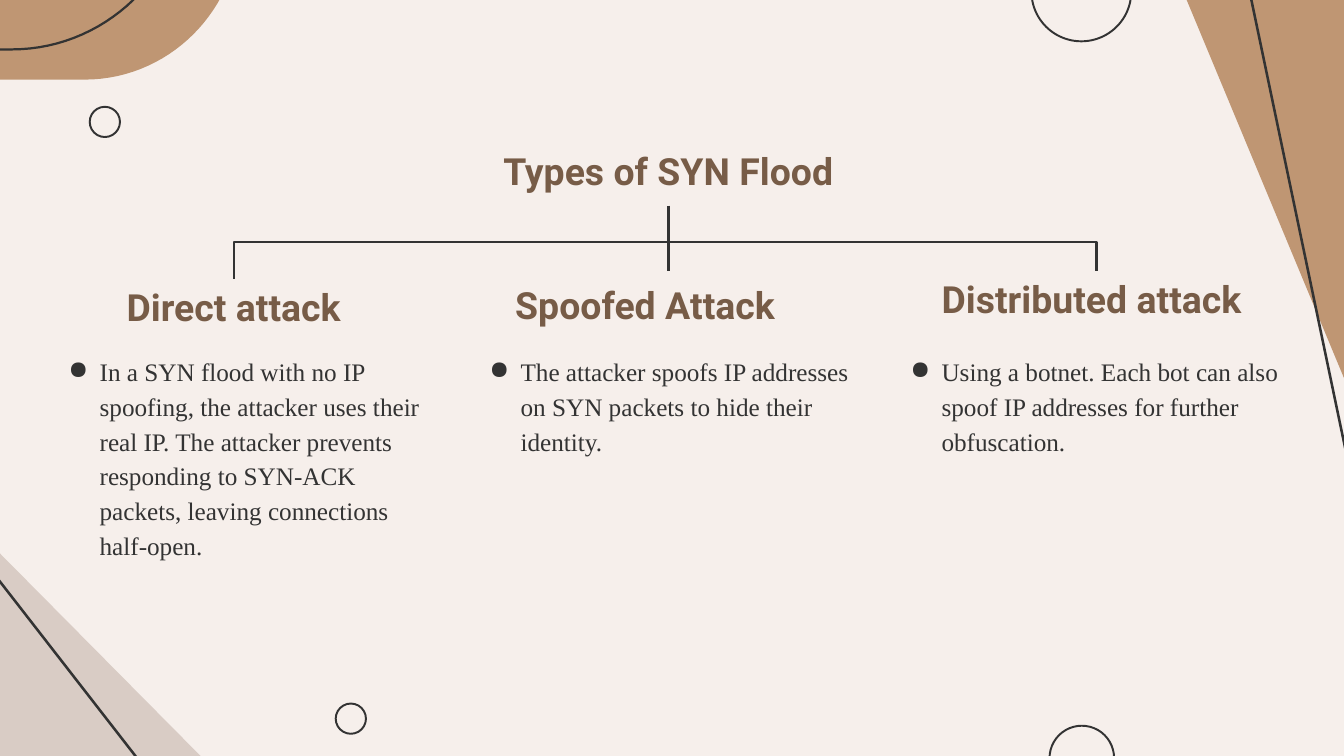
from dataclasses import dataclass

from lxml import etree
from pptx import Presentation
from pptx.dml.color import RGBColor
from pptx.enum.shapes import MSO_CONNECTOR, MSO_SHAPE
from pptx.enum.text import MSO_ANCHOR, PP_ALIGN
from pptx.oxml.ns import qn
from pptx.util import Inches, Pt

OVAL = MSO_SHAPE.OVAL
LINE, ELBOW = MSO_CONNECTOR.STRAIGHT, MSO_CONNECTOR.ELBOW
TOP, BOTTOM = 0, 2
INK, TAN, SAND, BROWN = "333333", "BF9673", "D9CCC5", "775C47"
HEAD = {"name": "Roboto", "size": Pt(26.7), "bold": True}
BODY = {"name": "Times New Roman", "size": Pt(18)}
STEPS = 24


@dataclass
class Ring:
    x: float
    y: float
    size: float


@dataclass
class Stroke:
    start: tuple
    end: tuple


@dataclass
class Label:
    text: str
    x: float
    y: float
    width: float


@dataclass
class Note:
    text: str
    height: float


RINGS = [Ring(0.89, 1.06, 0.3), Ring(10.23, -0.58, 0.99),
         Ring(3.33, 6.98, 0.3), Ring(10.41, 7.2, 0.64)]
STROKES = [Stroke((12.2, -1.01), (13.65, 5.92)), Stroke((-0.42, 5.23), (2.99, 9.62))]
TITLE = Label("Types of SYN Flood", 4.09, 1.42, 5.08)
LABELS = [Label("Direct attack", 0.45, 2.77, 3.74),
          Label("Spoofed Attack", 4.53, 2.75, 3.74),
          Label("Distributed attack ", 8.62, 2.69, 4.51)]
NOTES = [
    Note("In a SYN flood with no IP spoofing, the attacker uses their real IP. "
         "The attacker prevents responding to SYN-ACK packets, leaving "
         "connections half-open.", 2.44),
    Note("The attacker spoofs IP addresses on SYN packets to hide their identity.", 1.59),
    Note("Using a botnet. Each bot can also spoof IP addresses for further "
         "obfuscation.", 1.93),
]
NOTE_X, NOTE_Y, NOTE_W, NOTE_STEP = 0.58, 3.39, 3.89, 4.175


def color(code: str) -> RGBColor:
    return RGBColor.from_string(code)


def curve(*ctrl: tuple) -> list:
    """Points along a cubic Bezier curve with four control points."""
    spots = []
    for i in range(STEPS + 1):
        t = i / STEPS
        parts = ((1 - t) ** 3, 3 * t * (1 - t) ** 2, 3 * t * t * (1 - t), t ** 3)
        spots.append(tuple(sum(w * p[k] for w, p in zip(parts, ctrl)) for k in (0, 1)))
    return spots


def outline(slide, spots: list, closed: bool):
    pen = slide.shapes.build_freeform(*map(Inches, spots[0]))
    pen.add_line_segments([(Inches(x), Inches(y)) for x, y in spots[1:]], close=closed)
    shape = pen.convert_to_shape()
    shape.shadow.inherit = False
    return shape


def add_patch(slide, spots: list, fill: str) -> None:
    shape = outline(slide, spots, True)
    shape.fill.solid()
    shape.fill.fore_color.rgb = color(fill)
    shape.line.fill.background()


def ink(shape, width: float) -> None:
    shape.line.color.rgb = color(INK)
    shape.line.width = Pt(width)


def add_ring(slide, ring: Ring) -> None:
    shape = slide.shapes.add_shape(
        OVAL, *map(Inches, (ring.x, ring.y, ring.size, ring.size)))
    shape.shadow.inherit = False
    shape.fill.background()
    ink(shape, 1.4)


def add_link(slide, kind, start: tuple, end: tuple, width: float = 1.5):
    link = slide.shapes.add_connector(kind, *map(Inches, start + end))
    etree.SubElement(link._element.spPr, qn("a:effectLst"))
    ink(link, width)
    return link


def add_text(slide, text: str, frame: tuple, inset: float, style: dict, code: str):
    box = slide.shapes.add_textbox(*map(Inches, frame))
    body = box.text_frame
    body.word_wrap = True
    for side in ("left", "top", "right", "bottom"):
        setattr(body, f"margin_{side}", Inches(inset))
    para = body.paragraphs[0]
    para.line_spacing = 1.15
    run = para.add_run()
    run.text = text
    for key, value in style.items():
        setattr(run.font, key, value)
    run.font.color.rgb = color(code)
    return box


def add_label(slide, label: Label):
    box = add_text(slide, label.text, (label.x, label.y, label.width, 0.62),
                   0.13, HEAD, BROWN)
    box.text_frame.vertical_anchor = MSO_ANCHOR.BOTTOM
    box.text_frame.paragraphs[0].alignment = PP_ALIGN.CENTER
    return box


def add_note(slide, note: Note, x: float) -> None:
    box = add_text(slide, note.text, (x, NOTE_Y, NOTE_W, note.height), 0.1, BODY, INK)
    props = box.text_frame.paragraphs[0]._p.get_or_add_pPr()
    props.set("marL", str(Inches(0.31)))
    props.set("indent", str(Inches(-0.35)))
    tint = etree.SubElement(props, qn("a:buClr"))
    etree.SubElement(tint, qn("a:srgbClr"), val=INK)
    etree.SubElement(props, qn("a:buChar"), char="●")


def add_decor(slide) -> None:
    add_patch(slide, [(13.33, 0), (11.77, 0), (13.33, 3.75)], TAN)
    add_patch(slide, [(-0.04, 7.5), (1.99, 7.5), (-0.04, 5.45)], SAND)
    left = curve((-2.22, -0.25), (-1.84, 0.35), (-1.12, 0.79), (-0.44, 0.79))
    right = curve((0.84, 0.79), (1.51, 0.79), (2.08, 0.35), (2.29, -0.25))
    add_patch(slide, left + right, TAN)
    for stroke in STROKES:
        add_link(slide, LINE, stroke.start, stroke.end, 1.8)
    left = curve((-3.35, -0.68), (-2.93, -0.02), (-2.1, 0.49), (-1.33, 0.49))
    right = curve((0.12, 0.49), (0.85, 0.49), (1.51, 0.02), (1.76, -0.68))
    arc = outline(slide, left + right, False)
    arc.fill.background()
    ink(arc, 1.6)
    for ring in RINGS:
        add_ring(slide, ring)


def add_tree(slide) -> None:
    title = add_label(slide, TITLE)
    direct, _, spread = [add_label(slide, label) for label in LABELS]

    drop = add_link(slide, ELBOW, (6.63, 2.04), (2.32, 2.77))
    drop.begin_connect(title, BOTTOM)
    drop.end_connect(direct, TOP)
    # A quarter turn makes the elbow leave the title downwards.
    turn = drop._element.spPr.find(qn("a:xfrm"))
    turn.attrib.clear()
    turn.set("rot", str(90 * 60000))
    frame = {"left": 4.11, "top": 0.25, "width": 0.73, "height": 4.31}
    for key, value in frame.items():
        setattr(drop, key, Inches(value))

    branch = add_link(slide, ELBOW, (6.62, 2.4), (10.87, 2.69))
    branch.end_connect(spread, TOP)
    branch._element.spPr.find(qn("a:prstGeom")).set("prst", "bentConnector2")
    add_link(slide, LINE, (6.63, 2.39), (6.63, 2.69))


def main() -> None:
    deck = Presentation()
    deck.slide_width, deck.slide_height = Inches(13.33), Inches(7.5)
    slide = deck.slides.add_slide(deck.slide_layouts[6])
    back = slide.background.fill
    back.solid()
    back.fore_color.rgb = color("F6EFEB")
    add_decor(slide)
    add_tree(slide)
    for i, note in enumerate(NOTES):
        add_note(slide, note, NOTE_X + i * NOTE_STEP)
    deck.save("out.pptx")


if __name__ == "__main__":
    main()
